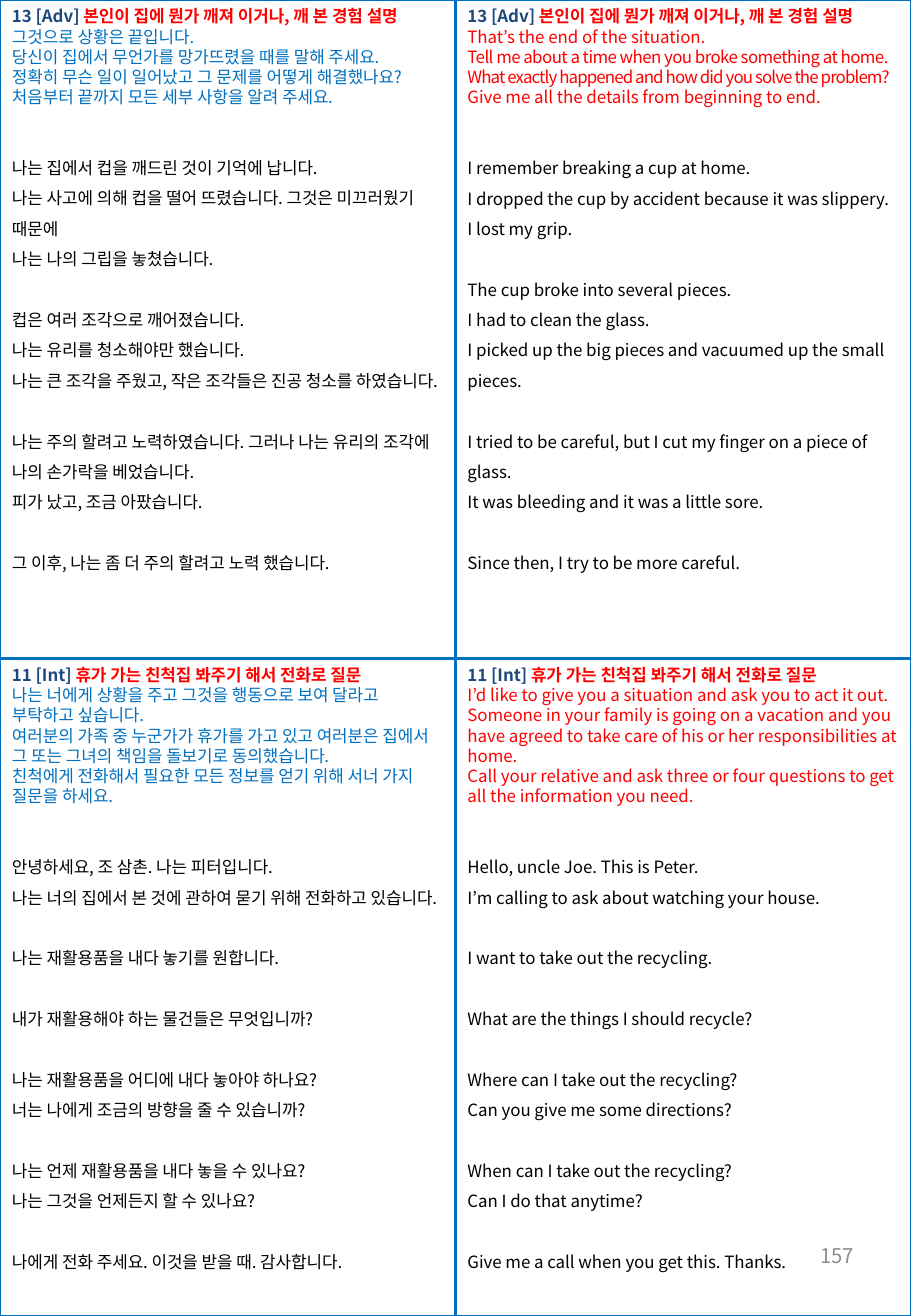
from dataclasses import dataclass

from lxml import etree
from pptx import Presentation
from pptx.dml.color import RGBColor
from pptx.enum.shapes import MSO_CONNECTOR, MSO_SHAPE
from pptx.enum.text import MSO_ANCHOR, MSO_AUTO_SIZE, PP_ALIGN
from pptx.oxml.ns import qn
from pptx.util import Inches, Pt

RECT = MSO_SHAPE.RECTANGLE
STRAIGHT = MSO_CONNECTOR.STRAIGHT
MIDDLE, TOP = MSO_ANCHOR.MIDDLE, MSO_ANCHOR.TOP
LEFT, RIGHT = PP_ALIGN.LEFT, PP_ALIGN.RIGHT
GROW = MSO_AUTO_SIZE.SHAPE_TO_FIT_TEXT

WIDE, HIGH = 7.5, 10.83
MID_X, MID_Y = WIDE / 2, 5.42


@dataclass(frozen=True)
class Theme:
    font: str = "Noto Sans CJK KR"
    navy: str = "1F497D"
    red: str = "FF0000"
    blue: str = "0070C0"
    black: str = "000000"
    gray: str = "8C8C8C"
    size: float = 10
    page: float = 12
    rule: float = 1.5
    tight: float = 12   # line pitch of the prompt
    loose: float = 18   # line pitch of the answer
    gap: float = 24     # space between prompt and answer


class Page:
    def __init__(self, slide, theme):
        self.slide, self.theme = slide, theme

    def stroke(self, line):
        line.color.rgb = RGBColor.from_string(self.theme.blue)
        line.width = Pt(self.theme.rule)

    def line(self, x1, y1, x2, y2):
        rule = self.slide.shapes.add_connector(
            STRAIGHT, Inches(x1), Inches(y1), Inches(x2), Inches(y2))
        self.stroke(rule.line)
        etree.SubElement(rule._element.spPr, qn("a:effectLst"))

    def frame(self, x, y, w, h):
        box = self.slide.shapes.add_shape(
            RECT, Inches(x), Inches(y), Inches(w), Inches(h))
        box.shadow.inherit = False
        box.fill.background()
        self.stroke(box.line)

    def text(self, x, y, w, h, anchor=TOP):
        box = self.slide.shapes.add_textbox(
            Inches(x), Inches(y), Inches(w), Inches(h))
        frame = box.text_frame
        frame.word_wrap = True
        frame.vertical_anchor = anchor
        return frame

    def para(self, frame, pitch=None, before=0, align=LEFT):
        fresh = not frame.paragraphs[0].runs
        para = frame.paragraphs[0] if fresh else frame.add_paragraph()
        para.alignment = align
        if pitch:
            para.line_spacing = Pt(pitch)
        if before:
            para.space_before = Pt(before)
        return para

    def run(self, para, text, color, bold=False, size=None, space=0):
        for i, part in enumerate(text.split("\n")):
            if i:
                para.add_line_break()
            run = para.add_run()
            run.text = part
            font = run.font
            font.name = self.theme.font
            font.size = Pt(size or self.theme.size)
            font.bold = bold
            font.color.rgb = RGBColor.from_string(color)
            props = run._r.get_or_add_rPr()
            etree.SubElement(props, qn("a:ea"), typeface=self.theme.font)
            if space:
                props.set("spc", str(round(space * 100)))

    def card(self, x, y, h, head, color, prompt, answer):
        look = self.theme
        frame = self.text(x, y, MID_X, h)
        frame.auto_size = GROW
        # Heading
        tag, title = head
        para = self.para(frame, look.tight)
        self.run(para, tag, look.navy, True)
        self.run(para, title, look.red, True)
        # Prompt
        for text, space in prompt:
            self.run(self.para(frame, look.tight), text, color, space=space)
        # Answer, in groups of lines
        for i, group in enumerate(answer):
            for j, text in enumerate(group):
                before = 0 if j else look.loose if i else look.gap
                para = self.para(frame, look.loose, before)
                self.run(para, text, look.black)


BROKE = ("13 [Adv] ", "본인이 집에 뭔가 깨져 이거나, 깨 본 경험 설명")
HOUSE = ("11 [Int] ", "휴가 가는 친척집 봐주기 해서 전화로 질문")

BROKE_KO = [("그것으로 상황은 끝입니다.\n"
             "당신이 집에서 무언가를 망가뜨렸을 때를 말해 주세요.\n"
             "정확히 무슨 일이 일어났고 그 문제를 어떻게 해결했나요?\n"
             "처음부터 끝까지 모든 세부 사항을 알려 주세요.", 0)]
BROKE_KO_SAY = [
    ["나는 집에서 컵을 깨드린 것이 기억에 납니다.",
     "나는 사고에 의해 컵을 떨어 뜨렸습니다. 그것은 미끄러웠기 때문에",
     "나는 나의 그립을 놓쳤습니다."],
    ["컵은 여러 조각으로 깨어졌습니다.",
     "나는 유리를 청소해야만 했습니다.",
     "나는 큰 조각을 주웠고, 작은 조각들은 진공 청소를 하였습니다."],
    ["나는 주의 할려고 노력하였습니다. 그러나 나는 유리의 조각에 나의 손가락을 베었습니다.",
     "피가 났고, 조금 아팠습니다."],
    ["그 이후, 나는 좀 더 주의 할려고 노력 했습니다."]]

BROKE_EN = [
    ("That’s the end of the situation.", 0),
    ("Tell me about a time when you broke something at home.", -0.3),
    ("What exactly happened and how did you solve the problem?", -0.5),
    ("Give me all the details from beginning to end.", 0)]
BROKE_EN_SAY = [
    ["I remember breaking a cup at home.",
     "I dropped the cup by accident because it was slippery.",
     "I lost my grip."],
    ["The cup broke into several pieces.",
     "I had to clean the glass.",
     "I picked up the big pieces and vacuumed up the small pieces."],
    ["I tried to be careful, but I cut my finger on a piece of glass.",
     "It was bleeding and it was a little sore."],
    ["Since then, I try to be more careful."]]

HOUSE_KO = [("나는 너에게 상황을 주고 그것을 행동으로 보여 달라고 부탁하고 싶습니다.\n"
             "여러분의 가족 중 누군가가 휴가를 가고 있고 여러분은 집에서 "
             "그 또는 그녀의 책임을 돌보기로 동의했습니다.\n"
             "친척에게 전화해서 필요한 모든 정보를 얻기 위해 서너 가지 질문을 하세요.", 0)]
HOUSE_KO_SAY = [
    ["안녕하세요, 조 삼촌. 나는 피터입니다.",
     "나는 너의 집에서 본 것에 관하여 묻기 위해 전화하고 있습니다."],
    ["나는 재활용품을 내다 놓기를 원합니다."],
    ["내가 재활용해야 하는 물건들은 무엇입니까?"],
    ["나는 재활용품을 어디에 내다 놓아야 하나요?",
     "너는 나에게 조금의 방향을 줄 수 있습니까?"],
    ["나는 언제 재활용품을 내다 놓을 수 있나요?",
     "나는 그것을 언제든지 할 수 있나요?"],
    ["나에게 전화 주세요. 이것을 받을 때. 감사합니다."]]

HOUSE_EN = [
    ("I’d like to give you a situation and ask you to act it out.", 0),
    ("Someone in your family is going on a vacation and you have agreed "
     "to take care of his or her responsibilities at home.", 0),
    ("Call your relative and ask three or four questions to get all the "
     "information you need.", 0)]
HOUSE_EN_SAY = [
    ["Hello, uncle Joe. This is Peter.",
     "I’m calling to ask about watching your house."],
    ["I want to take out the recycling."],
    ["What are the things I should recycle?"],
    ["Where can I take out the recycling?",
     "Can you give me some directions?"],
    ["When can I take out the recycling?",
     "Can I do that anytime?"],
    ["Give me a call when you get this. Thanks."]]


def main():
    deck = Presentation()
    deck.slide_width, deck.slide_height = Inches(WIDE), Inches(HIGH)
    look = Theme()
    page = Page(deck.slides.add_slide(deck.slide_layouts[6]), look)

    # Grid
    page.line(0, MID_Y, WIDE, MID_Y)
    page.line(MID_X, 0, MID_X, HIGH)
    page.frame(0, 0, WIDE, HIGH)

    # Page number
    frame = page.text(5.38, 10.04, 1.75, 0.58, MIDDLE)
    page.run(page.para(frame, align=RIGHT), "157", look.gray, size=look.page)

    # Cards: Korean on the left, English on the right
    page.card(0, 0, 5.07, BROKE, look.blue, BROKE_KO, BROKE_KO_SAY)
    page.card(MID_X, 0, 4.78, BROKE, look.red, BROKE_EN, BROKE_EN_SAY)
    page.card(0, MID_Y, 5.37, HOUSE, look.blue, HOUSE_KO, HOUSE_KO_SAY)
    page.card(MID_X, MID_Y, 5.12, HOUSE, look.red, HOUSE_EN, HOUSE_EN_SAY)

    deck.save("out.pptx")


if __name__ == "__main__":
    main()
